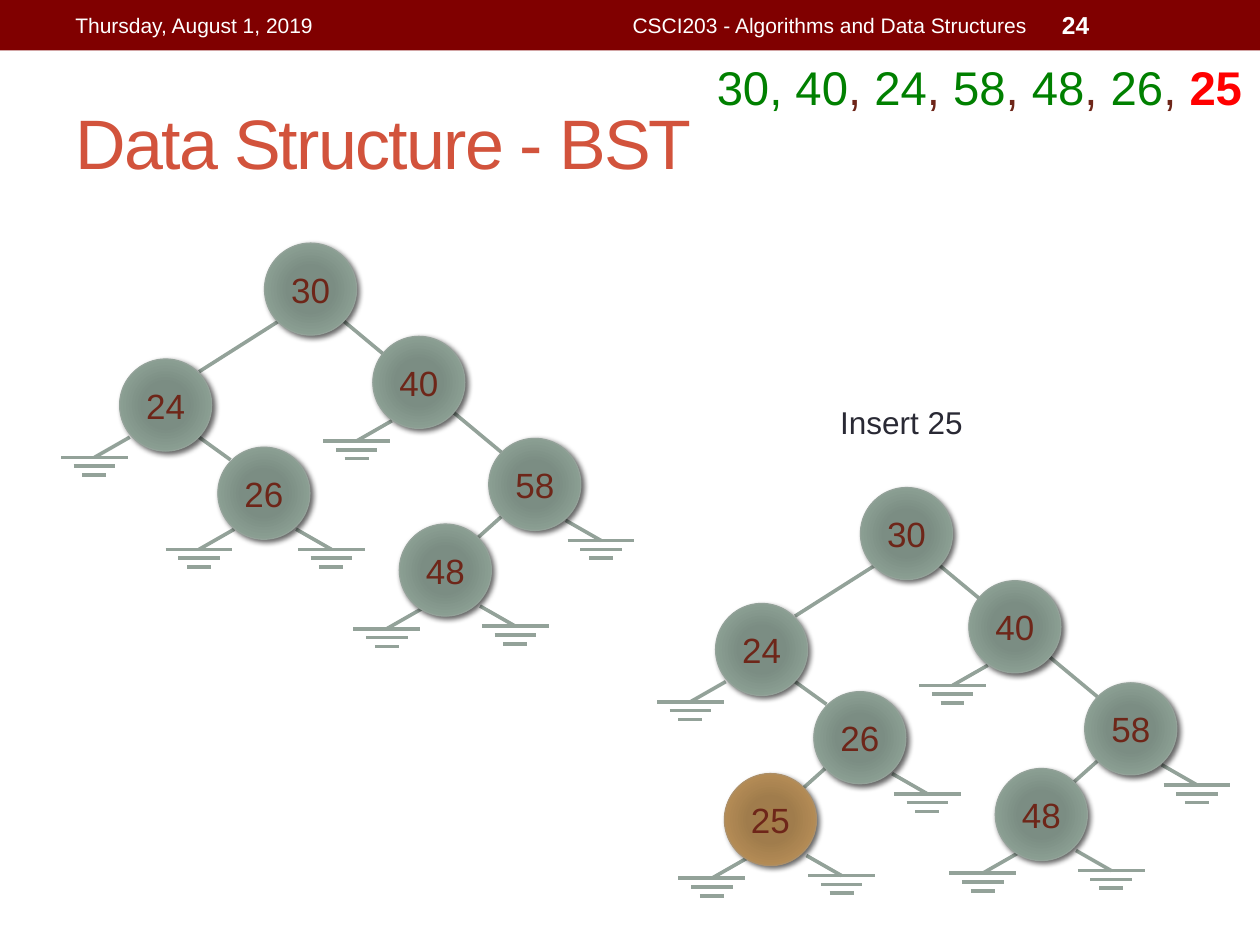
from lxml import etree
from pptx import Presentation
from pptx.dml.color import RGBColor
from pptx.enum.shapes import MSO_CONNECTOR, MSO_SHAPE
from pptx.enum.text import MSO_ANCHOR, MSO_AUTO_SIZE, PP_ALIGN
from pptx.oxml import parse_xml
from pptx.oxml.ns import nsdecls, qn
from pptx.util import Inches, Pt

LEFT, CENTER, RIGHT = PP_ALIGN.LEFT, PP_ALIGN.CENTER, PP_ALIGN.RIGHT
TOP, MIDDLE = MSO_ANCHOR.TOP, MSO_ANCHOR.MIDDLE

MAROON = RGBColor(0x80, 0x00, 0x00)
WHITE = RGBColor(0xFF, 0xFF, 0xFF)
CORAL = RGBColor(0xD2, 0x53, 0x3C)
GREEN = RGBColor(0x00, 0x80, 0x00)
BROWN = RGBColor(0x6E, 0x26, 0x19)
RED = RGBColor(0xFF, 0x00, 0x00)
INK = RGBColor(0x29, 0x29, 0x34)
SAGE = RGBColor(0x93, 0xA2, 0x99)
TAN = RGBColor(0xAD, 0x8F, 0x67)
SAGE_STOPS = ((0, "7B8E82"), (34, "7B8D83"), (70, "8A9E92"), (100, SAGE))
TAN_STOPS = ((0, "A37D49"), (34, "A07C4C"), (70, "B38B55"), (100, TAN))

TITLE = "Data Structure - BST"
HEADER = [  # text, left, width, size, bold, alignment
    ("Thursday, August 1, 2019", 0.5, 3.17, 12, False, LEFT),
    ("CSCI203 - Algorithms and Data Structures", 3.75, 4.5, 12, False, RIGHT),
    ("24", 8.33, 1.17, 14, True, LEFT),
]
SEQUENCE = [("30, 40", GREEN), (", ", BROWN), ("24", GREEN), (", ", BROWN),
            ("58", GREEN), (", ", BROWN), ("48", GREEN), (",", BROWN),
            (" 26", GREEN), (", ", BROWN), ("25", RED)]

# Positions are those of the left-hand tree; the right-hand tree is shifted.
NODES = {"30": (2.1, 1.93), "24": (0.95, 2.85), "40": (2.96, 2.67),
         "58": (3.88, 3.48), "48": (3.17, 4.16), "26": (1.73, 3.55)}
EDGES = [((2.73, 2.55), (3.98, 3.59)),  # 30 - 40 - 58, passing behind 40
         ((1.58, 2.95), (2.21, 2.55)),
         ((1.58, 3.47), (1.83, 3.65)),
         ((3.79, 4.27), (3.98, 4.1))]
# Null links: start of the stem and direction (-1 left, 1 right)
NULLS = [(1.03, 3.47, -1), (3.11, 3.34, -1), (4.49, 4.13, 1),
         (3.81, 4.81, 1), (3.35, 4.83, -1), (2.35, 4.2, 1)]
NULL_BEFORE_INSERT = (1.86, 4.2, -1)
INSERTED_NODE = {"25": (1.02, 4.2)}
INSERTED_EDGE = ((1.65, 4.31), (1.84, 4.14))
INSERTED_NULLS = [(1.67, 4.85, 1), (1.2, 4.87, -1)]
INSERT_SHIFT = (4.73, 1.94)

NODE_SIZE = 0.73
STEM_DX, STEM_DY = 0.28, 0.16
BAR_WIDTHS = (0.53, 0.33, 0.19)
BAR_GAP = 0.07


def write(shape, runs, size, align=LEFT, anchor=TOP):
    """Fill the shape with one paragraph of (text, colour, bold) runs."""
    frame = shape.text_frame
    frame.word_wrap = True
    frame.auto_size = MSO_AUTO_SIZE.NONE
    frame.vertical_anchor = anchor
    paragraph = frame.paragraphs[0]
    paragraph.alignment = align
    for text, color, bold in runs:
        run = paragraph.add_run()
        run.text = text
        run.font.name = "Arial"
        run.font.size = Pt(size)
        run.font.bold = bold
        run.font.color.rgb = color
    return paragraph


def add_box(shapes, left, top, width, height, fill):
    box = shapes.add_shape(MSO_SHAPE.RECTANGLE, Inches(left), Inches(top),
                           Inches(width), Inches(height))
    box.shadow.inherit = False
    box.fill.solid()
    box.fill.fore_color.rgb = fill
    box.line.fill.background()
    return box


def add_label(shapes, left, top, width, height):
    return shapes.add_textbox(Inches(left), Inches(top),
                              Inches(width), Inches(height))


def add_line(shapes, start, end):
    line = shapes.add_connector(MSO_CONNECTOR.STRAIGHT,
                                *(Inches(v) for v in (*start, *end)))
    line.line.color.rgb = SAGE
    line.line.width = Pt(2.08)
    etree.SubElement(line._element.spPr, qn("a:effectLst"))


def add_null(shapes, x, y, direction):
    """Draw a stem ending in three shrinking bars."""
    end_x, end_y = x + direction * STEM_DX, y + STEM_DY
    add_line(shapes, (x, y), (end_x, end_y))
    for row, width in enumerate(BAR_WIDTHS):
        bar_y = end_y + row * BAR_GAP
        add_line(shapes, (end_x - width / 2, bar_y), (end_x + width / 2, bar_y))


def add_node(shapes, key, x, y, stops):
    node = shapes.add_shape(MSO_SHAPE.OVAL, Inches(x), Inches(y),
                            Inches(NODE_SIZE), Inches(NODE_SIZE))
    node.line.color.rgb = stops[-1][1]
    node.line.width = Pt(0.75)
    stop_xml = "".join(f'<a:gs pos="{pos * 1000}"><a:srgbClr val="{color}"/></a:gs>'
                       for pos, color in stops)
    gradient = parse_xml(
        f'<a:gradFill {nsdecls("a")} rotWithShape="1"><a:gsLst>{stop_xml}</a:gsLst>'
        '<a:path path="circle"><a:fillToRect l="100000" t="100000" r="100000" '
        'b="100000"/></a:path></a:gradFill>')
    shadow = parse_xml(
        f'<a:effectLst {nsdecls("a")}><a:outerShdw blurRad="{Pt(3)}" dist="{Pt(2)}" '
        'dir="2700000" rotWithShape="0"><a:srgbClr val="000000">'
        '<a:alpha val="60000"/></a:srgbClr></a:outerShdw></a:effectLst>')
    properties = node._element.spPr
    properties.find(qn("a:prstGeom")).addnext(gradient)
    properties.find(qn("a:ln")).addnext(shadow)
    write(node, [(key, BROWN, False)], 20, CENTER, MIDDLE)


def add_tree(slide, nodes, edges, nulls, shift=(0, 0)):
    shapes = slide.shapes.add_group_shape().shapes
    dx, dy = shift
    for start, end in edges:
        add_line(shapes, (start[0] + dx, start[1] + dy), (end[0] + dx, end[1] + dy))
    for x, y, direction in nulls:
        add_null(shapes, x + dx, y + dy, direction)
    for key, (x, y) in nodes.items():
        stops = TAN_STOPS if key in INSERTED_NODE else SAGE_STOPS
        add_node(shapes, key, x + dx, y + dy, stops)


def main():
    prs = Presentation()
    prs.slide_width, prs.slide_height = Inches(10), Inches(7.5)
    slide = prs.slides.add_slide(prs.slide_layouts[5])
    shapes = slide.shapes

    title = shapes.title
    title.left, title.top = Inches(0.5), Inches(0.58)
    title.width, title.height = Inches(9), Inches(1.08)
    heading = write(title, [(TITLE, CORAL, False)], 40, LEFT, MIDDLE)
    heading.runs[0].font._element.set("spc", "-100")

    add_box(shapes, 0, 0, 10, 0.4, MAROON)
    for text, left, width, size, bold, align in HEADER:
        label = add_label(shapes, left, 0.02, width, 0.36)
        write(label, [(text, WHITE, bold)], size, align, MIDDLE)

    sequence = add_box(shapes, 5.59, 0.41, 4.41, 0.57, WHITE)
    write(sequence, [(text, color, color == RED) for text, color in SEQUENCE], 27)

    add_tree(slide, NODES, EDGES, NULLS + [NULL_BEFORE_INSERT])
    write(add_label(shapes, 5.89, 3.15, 2.53, 0.4),
          [("Insert 25", INK, False)], 18, CENTER)
    add_tree(slide, NODES | INSERTED_NODE, EDGES + [INSERTED_EDGE],
             NULLS + INSERTED_NULLS, INSERT_SHIFT)

    prs.save("out.pptx")


if __name__ == "__main__":
    main()
